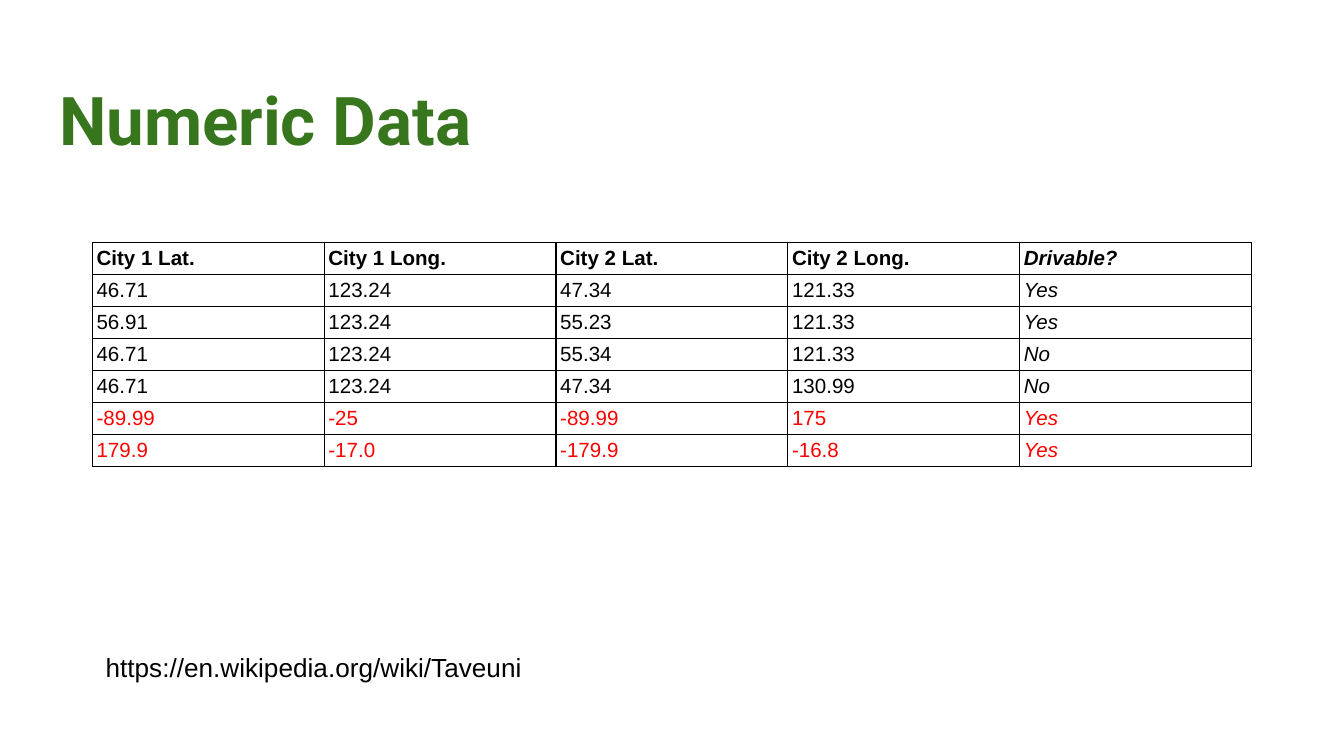
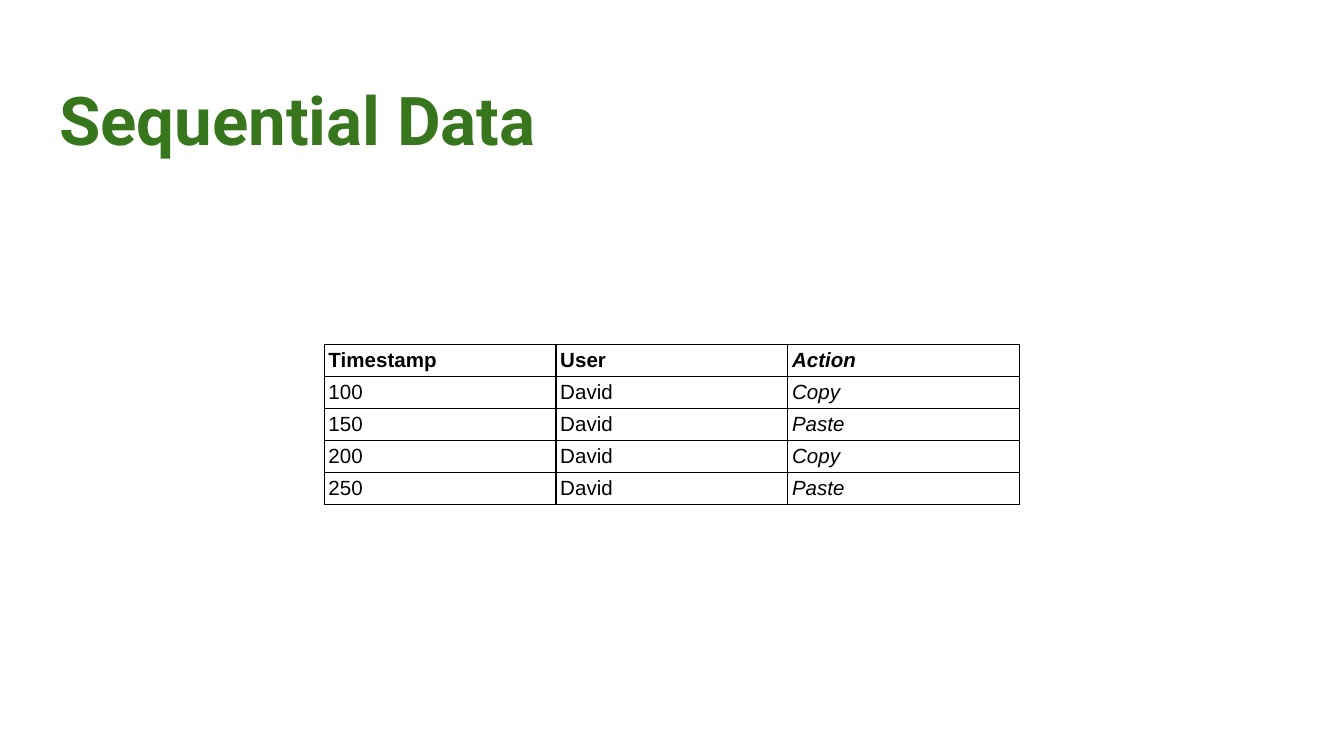
from dataclasses import dataclass

from lxml import etree
from pptx import Presentation
from pptx import util as u
from pptx.dml import color
from pptx.enum import text
from pptx.oxml import ns

Pt = u.Pt
WIDE, HIGH = 720, 405


@dataclass(frozen=True)
class Theme:
    green: str = "38761D"
    black: str = "000000"
    red: str = "FF0000"
    white: str = "FFFFFF"
    head: str = "Roboto"
    body: str = "Arial"
    title: float = 36
    note: float = 14
    cell: float = 11
    rule: float = 0.75
    inset: float = 2.25
    col: float = 124.2
    row: float = 17.15


class Deck:
    def __init__(self, theme):
        self.theme = theme
        self.prs = Presentation()
        self.prs.slide_width, self.prs.slide_height = Pt(WIDE), Pt(HIGH)
        self.slide = None

    def run(self, para, words, size, hue, face=None, bold=False, ital=False):
        run = para.add_run()
        run.text = words
        font = run.font
        font.name = face or self.theme.body
        font.size, font.bold, font.italic = Pt(size), bold, ital
        font.color.rgb = color.RGBColor.from_string(hue)

    def page(self, words):
        """Start a slide and set its title."""
        th = self.theme
        self.slide = self.prs.slides.add_slide(self.prs.slide_layouts[5])
        title = self.slide.shapes.title
        title.left, title.top = Pt(24.5), Pt(35)
        title.width, title.height = Pt(671), Pt(45)
        frame = title.text_frame
        frame.auto_size = text.MSO_AUTO_SIZE.NONE
        frame.vertical_anchor = text.MSO_ANCHOR.TOP
        frame.margin_left = frame.margin_right = Pt(7.2)
        frame.margin_top = frame.margin_bottom = Pt(7.2)
        para = frame.paragraphs[0]
        para.alignment = text.PP_ALIGN.LEFT
        self.run(para, words, th.title, th.green, th.head, bold=True)

    def note(self, words, left, top, wide, high):
        box = self.slide.shapes.add_textbox(Pt(left), Pt(top), Pt(wide), Pt(high))
        frame = box.text_frame
        frame.word_wrap = True
        frame.auto_size = text.MSO_AUTO_SIZE.SHAPE_TO_FIT_TEXT
        self.run(frame.paragraphs[0], words, self.theme.note, self.theme.black)

    def edge(self, cell):
        """Draw a thin rule on all four sides of a cell."""
        props = cell._tc.get_or_add_tcPr()
        for side in "LRTB":
            line = etree.SubElement(props, ns.qn(f"a:ln{side}"),
                                    w=str(Pt(self.theme.rule)))
            fill = etree.SubElement(line, ns.qn("a:solidFill"))
            etree.SubElement(fill, ns.qn("a:srgbClr"), val=self.theme.black)

    def table(self, top, rows, marked=()):
        """Centre a table; bold first row, italic last column, red marked rows."""
        th = self.theme
        count = len(rows[0])
        wide = count * th.col
        table = self.slide.shapes.add_table(
            len(rows), count, Pt((WIDE - wide) / 2), Pt(top),
            Pt(wide), Pt(len(rows) * th.row)).table
        table.first_row = table.horz_banding = False
        for col in table.columns:
            col.width = Pt(th.col)
        for r, row in enumerate(rows):
            table.rows[r].height = Pt(th.row)
            for c, words in enumerate(row):
                cell = table.cell(r, c)
                self.edge(cell)
                cell.fill.solid()
                cell.fill.fore_color.rgb = color.RGBColor.from_string(th.white)
                cell.vertical_anchor = text.MSO_ANCHOR.MIDDLE
                cell.margin_left = cell.margin_right = Pt(th.inset)
                cell.margin_top = cell.margin_bottom = Pt(th.inset)
                self.run(cell.text_frame.paragraphs[0], words, th.cell,
                         th.red if r in marked else th.black,
                         bold=r == 0, ital=c == count - 1)


def main():
    deck = Deck(Theme())

    # Numeric data
    deck.page("Numeric Data")
    deck.table(130, [
        ("City 1 Lat.", "City 1 Long.", "City 2 Lat.", "City 2 Long.", "Drivable?"),
        ("46.71", "123.24", "47.34", "121.33", "Yes"),
        ("56.91", "123.24", "55.23", "121.33", "Yes"),
        ("46.71", "123.24", "55.34", "121.33", "No"),
        ("46.71", "123.24", "47.34", "130.99", "No"),
        ("-89.99", "-25", "-89.99", "175", "Yes"),
        ("179.9", "-17.0", "-179.9", "-16.8", "Yes"),
    ], marked=(5, 6))
    deck.note("https://en.wikipedia.org/wiki/Taveuni", 49.5, 345.5, 360, 24.5)

    # Sequential data
    deck.page("Sequential Data")
    steps = zip(("100", "150", "200", "250"), ("Copy", "Paste") * 2)
    deck.table(184.5, [("Timestamp", "User", "Action"),
                       *((time, "David", act) for time, act in steps)])

    deck.prs.save("out.pptx")


if __name__ == "__main__":
    main()
